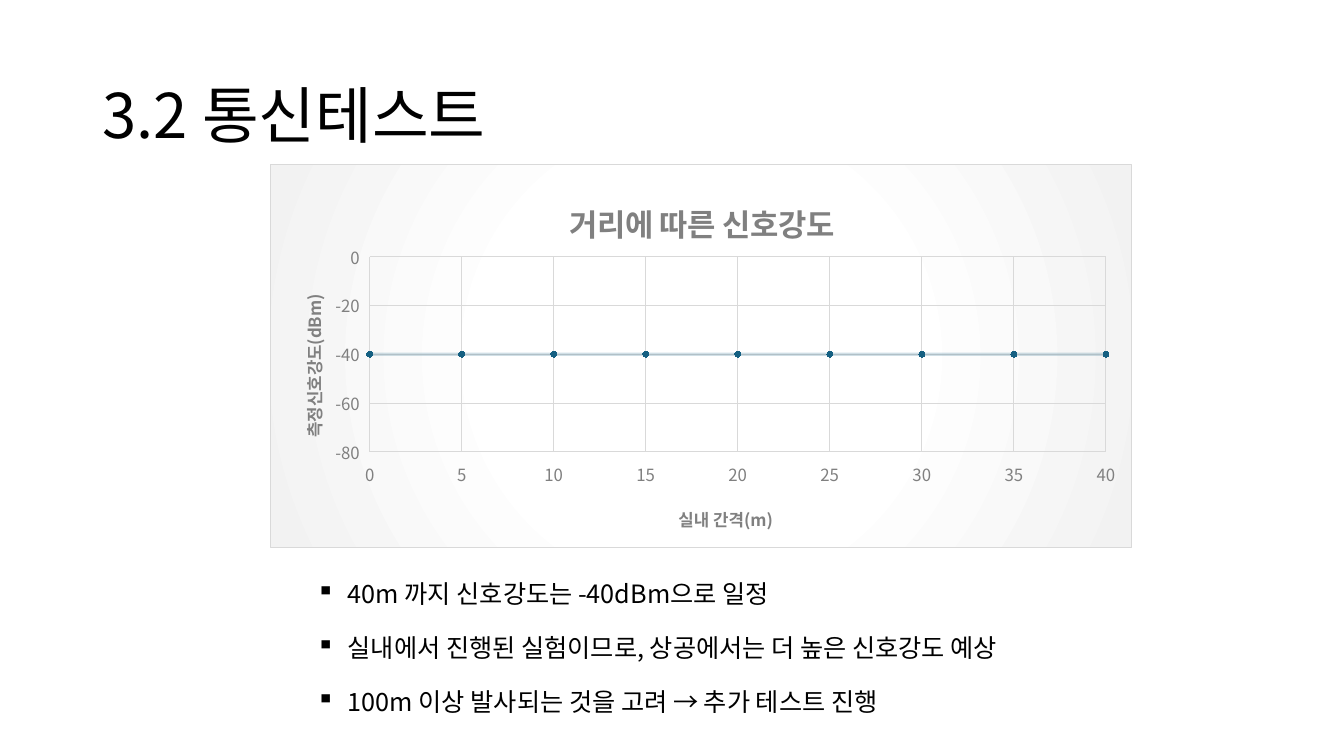
import pptx
import pptx.util
import pptx.chart.data
import pptx.dml.color
import pptx.enum.chart
import pptx.enum.text
import pptx.oxml
import pptx.oxml.ns

RGBColor = pptx.dml.color.RGBColor
BLACK = RGBColor(0x00, 0x00, 0x00)
GRAY = RGBColor(0x80, 0x80, 0x80)
GRID = RGBColor(0xD9, 0xD9, 0xD9)
BLUE = RGBColor(0x15, 0x60, 0x82)
FONT = "Noto Sans CJK KR"
WIDTH, HEIGHT = 13.33, 7.5
NS = pptx.oxml.ns.nsdecls("a", "c")
qn = pptx.oxml.ns.qn


def xml(text):
    """Parse a fragment whose root tag ends with the NS mark."""
    return pptx.oxml.parse_xml(text.replace("NS", NS, 1))


def style(font, size, color=BLACK, bold=False):
    font.name, font.size, font.bold = FONT, pptx.util.Pt(size), bold
    font.color.rgb = color


def write(p, text, size=18, color=BLACK, bold=False, before=0, bullet=None):
    r = p.add_run()
    r.text = text
    style(r.font, size, color, bold)
    rPr = r.font._element
    rPr.find(qn("a:latin")).addnext(xml(f'<a:ea NS typeface="{FONT}"/>'))
    if before:
        p.space_before = pptx.util.Pt(before)
    if bullet:
        pPr = p._p.get_or_add_pPr()
        indent = pptx.util.Inches(0.31)
        pPr.set("marL", str(indent))
        pPr.set("indent", str(-indent))
        pPr.append(xml(f'<a:buChar NS char="{bullet}"/>'))


def place(parent, index, **shares):
    """Fix a chart part at shares of the chart's size."""
    old = parent.find(qn("c:layout"))
    if old is not None:
        parent.remove(old)
    inner = '<c:layoutTarget val="inner"/>' if "w" in shares else ""
    modes = '<c:xMode val="edge"/><c:yMode val="edge"/>'
    values = "".join(f'<c:{k} val="{v}"/>' for k, v in shares.items())
    parent.insert(index, xml(
        f"<c:layout NS><c:manualLayout>{inner}{modes}{values}</c:manualLayout></c:layout>"))


def chart_title(title, text, x, y, size=12, rotation=0):
    write(title.text_frame.paragraphs[0], text, size=size, color=GRAY, bold=True)
    body = title._element.find(".//" + qn("a:bodyPr"))
    body.set("rot", str(rotation * 60000))
    place(title._element, 1, x=x, y=y)


def add_text(s, box, lines, anchor=pptx.enum.text.MSO_ANCHOR.TOP, gap=0, **fmt):
    tf = s.shapes.add_textbox(*map(pptx.util.Inches, box)).text_frame
    tf.word_wrap = True
    tf.vertical_anchor = anchor
    for i, line in enumerate(lines):
        p = tf.add_paragraph() if i else tf.paragraphs[0]
        write(p, line, before=gap if i else 0, **fmt)


def format_axis(axis, low, high, step):
    axis.minimum_scale, axis.maximum_scale, axis.major_unit = low, high, step
    axis.major_tick_mark = axis.minor_tick_mark = pptx.enum.chart.XL_TICK_MARK.NONE
    axis.tick_label_position = pptx.enum.chart.XL_TICK_LABEL_POSITION.LOW
    style(axis.tick_labels.font, 12, GRAY)
    axis.format.line.fill.background()
    axis.has_major_gridlines = True
    line = axis.major_gridlines.format.line
    line.color.rgb, line.width = GRID, pptx.util.Pt(0.75)


def add_signal_chart(s, box):
    data = pptx.chart.data.XyChartData()
    points = data.add_series("Series 1")
    for distance in range(0, 41, 5):
        points.add_data_point(distance, -40)
    chart = s.shapes.add_chart(pptx.enum.chart.XL_CHART_TYPE.XY_SCATTER_LINES,
                               *map(pptx.util.Inches, box), data).chart
    chart.has_legend = False
    style(chart.font, 10)
    chart.plots[0].vary_by_categories = False
    space = chart._chartSpace

    # Axes and titles
    format_axis(chart.category_axis, 0, 40, 5)
    format_axis(chart.value_axis, -80, 0, 20)
    chart_title(chart.chart_title, "거리에 따른 신호강도", 0.34, 0.07, size=22)
    chart_title(chart.category_axis.axis_title, "실내 간격(m)", 0.47, 0.88)
    chart_title(chart.value_axis.axis_title, "측정신호강도(dBm)", 0.03, 0.33, rotation=-90)
    place(space.find(".//" + qn("c:plotArea")), 0, x=0.115, y=0.24, w=0.855, h=0.51)

    # Faint line with solid markers
    series = chart.plots[0].series[0]
    series.smooth = False
    line = series.format.line
    line.color.rgb, line.width = BLUE, pptx.util.Pt(2.25)
    color = series._element.find(qn("c:spPr")).find(".//" + qn("a:srgbClr"))
    color.append(xml('<a:alpha NS val="20000"/>'))
    marker = series.marker
    marker.style, marker.size = pptx.enum.chart.XL_MARKER_STYLE.CIRCLE, 4
    marker.format.fill.solid()
    marker.format.fill.fore_color.rgb = BLUE
    marker.format.line.color.rgb = BLUE

    # Radial background and border
    space.find(qn("c:chart")).addnext(xml(
        '<c:spPr NS><a:gradFill><a:gsLst>'
        '<a:gs pos="43000"><a:srgbClr val="FFFFFF"/></a:gs>'
        '<a:gs pos="100000"><a:srgbClr val="F2F2F2"/></a:gs></a:gsLst>'
        '<a:path path="circle"><a:fillToRect l="50000" t="50000" r="50000" b="50000"/></a:path>'
        f'</a:gradFill><a:ln w="9525"><a:solidFill><a:srgbClr val="{GRID}"/></a:solidFill></a:ln>'
        '</c:spPr>'))


def main():
    prs = pptx.Presentation()
    prs.slide_width = pptx.util.Inches(WIDTH)
    prs.slide_height = pptx.util.Inches(HEIGHT)
    s = prs.slides.add_slide(prs.slide_layouts[6])
    add_text(s, (0.92, 0.4, 11.5, 1.45), ["3.2 통신테스트"], size=44,
             anchor=pptx.enum.text.MSO_ANCHOR.MIDDLE)
    add_signal_chart(s, (2.68, 1.63, 8.55, 3.81))
    add_text(s, (3.04, 5.69, 7.83, HEIGHT - 5.69), [
        "40m 까지 신호강도는 -40dBm으로 일정",
        "실내에서 진행된 실험이므로, 상공에서는 더 높은 신호강도 예상",
        "100m 이상 발사되는 것을 고려 → 추가 테스트 진행",
    ], gap=17, bullet="▪")
    prs.save("out.pptx")


if __name__ == "__main__":
    main()
